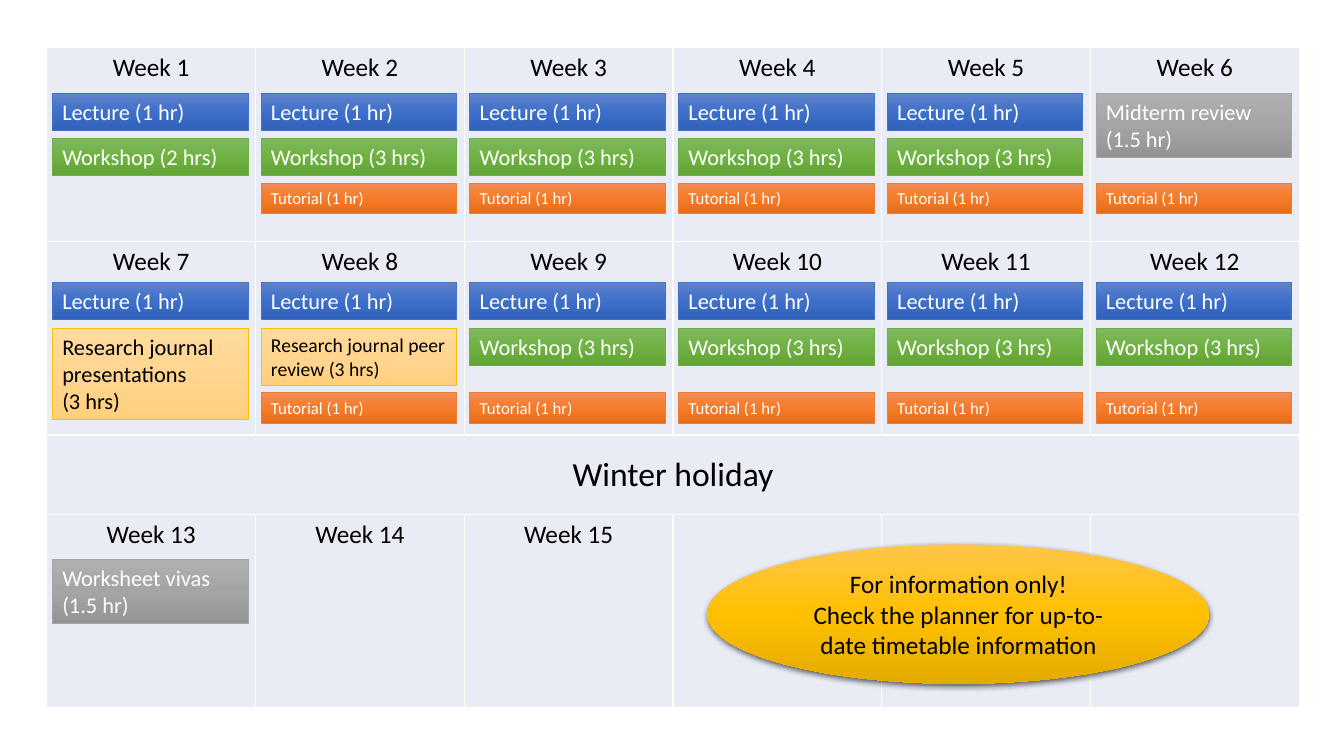
from copy import deepcopy
from dataclasses import dataclass
from itertools import product

from lxml.etree import SubElement
from pptx import Presentation
from pptx.dml.color import RGBColor
from pptx.enum.shapes import MSO_SHAPE
from pptx.enum.text import MSO_ANCHOR, MSO_AUTO_SIZE, PP_ALIGN
from pptx.oxml.ns import qn
from pptx.util import Cm, Pt


@dataclass(frozen=True)
class Look:
    stops: tuple
    line: str
    text: str


@dataclass(frozen=True)
class Theme:
    font: str = "Calibri"
    dark: str = "000000"
    border: str = "FFFFFF"
    cell: str = "E9EBF5"
    holiday: int = 24
    heading: int = 18
    body: int = 16
    compact: int = 14
    small: int = 12
    lecture: Look = Look(("6183CB", "3E70CA", "3062BB"), "4472C4", "FFFFFF")
    workshop: Look = Look(("81B861", "6FB242", "62A336"), "70AD47", "FFFFFF")
    tutorial: Look = Look(("F18C57", "F67B28", "E56C19"), "ED7D31", "FFFFFF")
    review: Look = Look(("AFAFAF", "A5A5A5", "939393"), "A5A5A5", "FFFFFF")
    research: Look = Look(("FFDB9E", "FFD590", "FFD07C"), "FFC000", "000000")
    notice: Look = Look(("FFC64B", "FFC000", "E3AB00"), "", "000000")


THEME = Theme()
COLUMNS = 6
COLUMN_WIDTH = 5.26
TABLE_LEFT, TABLE_TOP = 1.18, 1.2
ROW_HEIGHTS = (4.88, 4.88, 2, 4.88)
HOLIDAY_ROW = 2
WEEK_ROWS = {0: range(1, 7), 1: range(7, 13), 3: range(13, 16)}
BLOCK_LEFT, BLOCK_WIDTH = 1.32, 4.93

LECTURE = (THEME.lecture, THEME.body, 0.94, ["Lecture (1 hr)"])
SHORT_WORKSHOP = (THEME.workshop, THEME.body, 0.94, ["Workshop (2 hrs)"])
WORKSHOP = (THEME.workshop, THEME.body, 0.94, ["Workshop (3 hrs)"])
TUTORIAL = (THEME.tutorial, THEME.small, 0.77, ["Tutorial (1 hr)"])
MIDTERM = (THEME.review, THEME.body, 1.62, ["Midterm review (1.5 hr)"])
VIVAS = (THEME.review, THEME.body, 1.62, ["Worksheet vivas (1.5 hr)"])
PRESENTATIONS = (THEME.research, THEME.body, 2.31,
                 ["Research journal presentations", "(3 hrs)"])
PEER_REVIEW = (THEME.research, THEME.compact, 1.45,
               ["Research journal peer review (3 hrs)"])

SCHEDULE = (
    (2.35, [LECTURE] * 5 + [MIDTERM]),
    (3.48, [SHORT_WORKSHOP] + [WORKSHOP] * 4),
    (4.61, [None] + [TUTORIAL] * 5),
    (7.11, [LECTURE] * 6),
    (8.27, [PRESENTATIONS, PEER_REVIEW] + [WORKSHOP] * 4),
    (9.9, [None] + [TUTORIAL] * 5),
    (14.1, [VIVAS]),
)


class Timetable:
    def __init__(self, slide, theme):
        self.slide = slide
        self.theme = theme

    def text(self, frame, lines, size, color, alignment):
        for index, line in enumerate(lines):
            paragraph = frame.add_paragraph() if index else frame.paragraphs[0]
            paragraph.alignment = alignment
            run = paragraph.add_run()
            run.text = line
            run.font.name = self.theme.font
            run.font.size = Pt(size)
            run.font.color.rgb = RGBColor.from_string(color)

    def cell(self, cell):
        cell.fill.solid()
        cell.fill.fore_color.rgb = RGBColor.from_string(self.theme.cell)
        properties = cell._tc.get_or_add_tcPr()
        for index, side in enumerate(("a:lnL", "a:lnR", "a:lnT", "a:lnB")):
            border = properties.makeelement(qn(side), {"w": str(Pt(1))})
            fill = SubElement(border, qn("a:solidFill"))
            SubElement(fill, qn("a:srgbClr"), val=self.theme.border)
            properties.insert(index, border)

    def grid(self):
        table = self.slide.shapes.add_table(
            len(ROW_HEIGHTS), COLUMNS, Cm(TABLE_LEFT), Cm(TABLE_TOP),
            Cm(COLUMN_WIDTH * COLUMNS), Cm(sum(ROW_HEIGHTS))).table
        table.first_row = False
        table.horz_banding = False
        for column in table.columns:
            column.width = Cm(COLUMN_WIDTH)
        for row, height in zip(table.rows, ROW_HEIGHTS):
            row.height = Cm(height)
        for row, column in product(range(len(ROW_HEIGHTS)), range(COLUMNS)):
            self.cell(table.cell(row, column))
        for row, weeks in WEEK_ROWS.items():
            for column, week in enumerate(weeks):
                self.text(table.cell(row, column).text_frame, [f"Week {week}"],
                          self.theme.heading, self.theme.dark, PP_ALIGN.CENTER)
        holiday = table.cell(HOLIDAY_ROW, 0)
        holiday.merge(table.cell(HOLIDAY_ROW, COLUMNS - 1))
        holiday.vertical_anchor = MSO_ANCHOR.MIDDLE
        self.text(holiday.text_frame, ["Winter holiday"], self.theme.holiday,
                  self.theme.dark, PP_ALIGN.CENTER)

    def shape(self, kind, left, top, width, height, look):
        shape = self.slide.shapes.add_shape(
            kind, Cm(left), Cm(top), Cm(width), Cm(height))
        shape.shadow.inherit = False
        shape.fill.gradient()
        shape.fill.gradient_angle = 270
        stop_list = shape._element.spPr.find(qn("a:gradFill")).find(qn("a:gsLst"))
        stop_list.append(deepcopy(stop_list[0]))
        for index, color in enumerate(look.stops):
            stop = shape.fill.gradient_stops[index]
            stop.position = index / 2
            stop.color.rgb = RGBColor.from_string(color)
        if look.line:
            shape.line.color.rgb = RGBColor.from_string(look.line)
            shape.line.width = Pt(0.5)
        else:
            shape.line.fill.background()
        shape.text_frame.word_wrap = True
        return shape

    def block(self, column, top, look, size, height, lines):
        left = BLOCK_LEFT + column * COLUMN_WIDTH
        shape = self.shape(MSO_SHAPE.RECTANGLE, left, top, BLOCK_WIDTH, height, look)
        frame = shape.text_frame
        frame.vertical_anchor = MSO_ANCHOR.TOP
        frame.auto_size = MSO_AUTO_SIZE.SHAPE_TO_FIT_TEXT
        self.text(frame, lines, size, look.text, PP_ALIGN.LEFT)

    def notice(self, left, top, width, height, lines):
        look = self.theme.notice
        shape = self.shape(MSO_SHAPE.OVAL, left, top, width, height, look)
        effects = shape._element.spPr.find(qn("a:effectLst"))
        shadow = SubElement(effects, qn("a:outerShdw"), blurRad=str(Pt(4.5)),
                            dist=str(Pt(1.5)), dir="5400000", algn="ctr",
                            rotWithShape="0")
        color = SubElement(shadow, qn("a:srgbClr"), val=self.theme.dark)
        SubElement(color, qn("a:alpha"), val="63000")
        shape.text_frame.vertical_anchor = MSO_ANCHOR.MIDDLE
        self.text(shape.text_frame, lines, self.theme.heading, look.text,
                  PP_ALIGN.CENTER)


def main():
    presentation = Presentation()
    presentation.slide_width = Cm(33.87)
    presentation.slide_height = Cm(19.05)
    slide = presentation.slides.add_slide(presentation.slide_layouts[6])
    timetable = Timetable(slide, THEME)
    timetable.grid()
    for top, sessions in SCHEDULE:
        for column, session in enumerate(sessions):
            if session:
                timetable.block(column, top, *session)
    timetable.notice(17.83, 13.72, 12.65, 3.51, [
        "For information only!",
        "Check the planner for up-to-date timetable information"])
    presentation.save("out.pptx")


if __name__ == "__main__":
    main()
